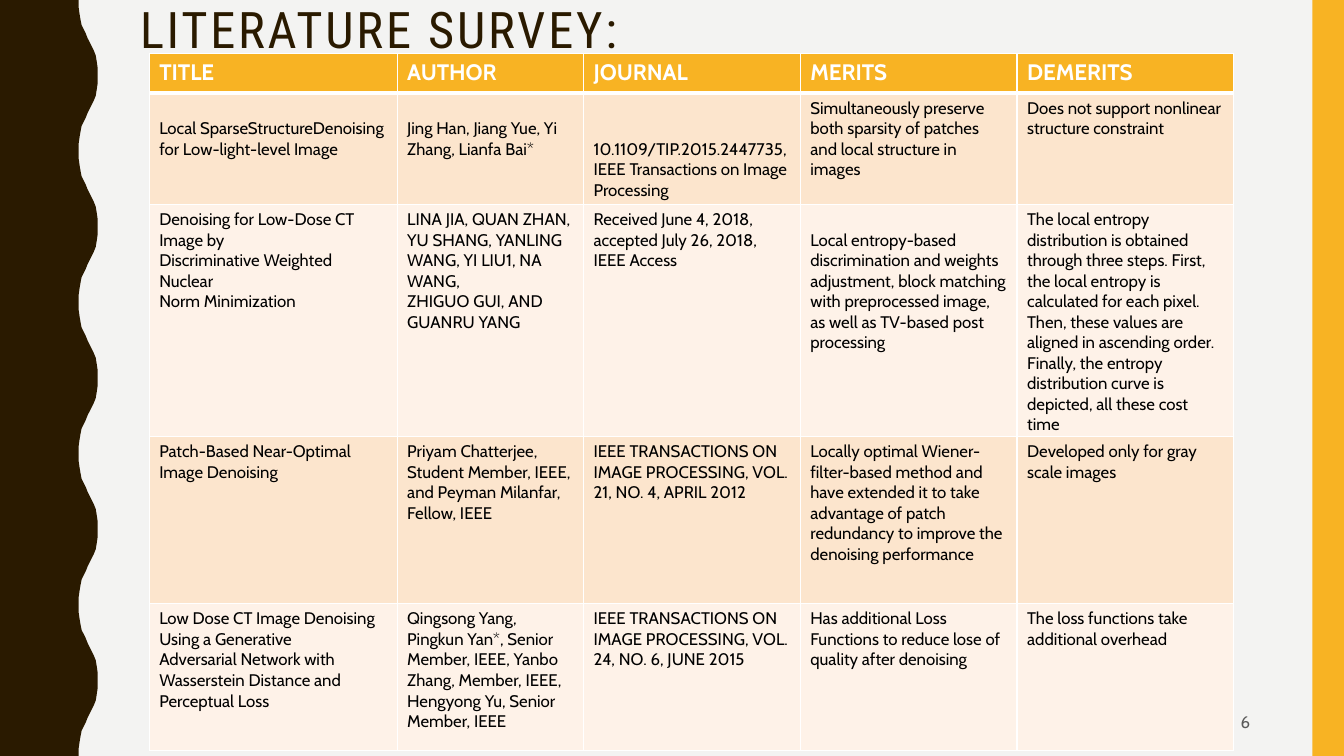
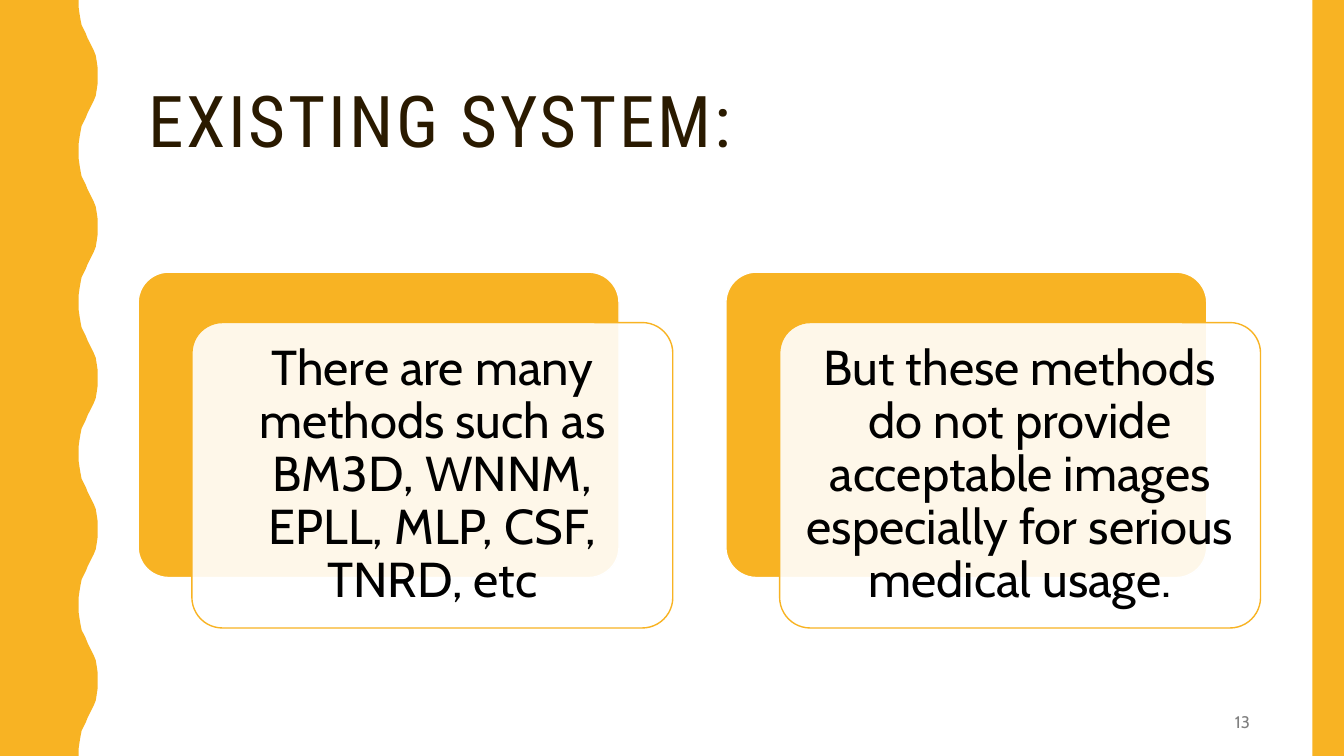
from lxml.etree import SubElement
from pptx import Presentation
from pptx.dml.color import RGBColor
from pptx.enum.shapes import MSO_SHAPE
from pptx.enum.text import MSO_ANCHOR, PP_ALIGN
from pptx.oxml.ns import qn
from pptx.util import Emu, Inches, Pt

COLORS = {name: RGBColor.from_string(code) for name, code in {
    "amber": "F8B323", "brown": "2A1A00", "paper": "F3F3F2",
    "white": "FFFFFF", "black": "000000", "band": "FCE5CD",
    "pale": "FEF2E8", "gray": "595959", "light_gray": "808080",
}.items()}
HEADING_FONT, BODY_FONT = "Roboto Condensed", "Cabin"

deck = Presentation()
deck.slide_width, deck.slide_height = Inches(13.333), Inches(7.5)
COLUMN, ROW = deck.slide_width / 100, deck.slide_height / 100


def place(left, top, width, height):
    """Turn percentages of the slide into a position and a size."""
    return (Emu(round(left * COLUMN)), Emu(round(top * ROW)),
            Emu(round(width * COLUMN)), Emu(round(height * ROW)))


def format_text(frame, font, size, color, align=PP_ALIGN.LEFT, line_spacing=1.0, bold=False):
    frame.word_wrap = True
    for paragraph in frame.paragraphs:
        paragraph.alignment = align
        paragraph.line_spacing = line_spacing
        for run in paragraph.runs:
            run.font.name, run.font.size, run.font.bold = font, Pt(size), bold
            run.font.color.rgb = COLORS[color]


# Wavy edge: half a wave, then its mirror image, five times down the slide
WAVE_UNIT = deck.slide_height / 750
HALF_WAVE = [(78, 0), (78, 7), (79, 14), (80, 20), (81, 25), (83, 29), (85, 33), (87, 38),
             (89, 42), (91, 46), (93, 50), (95, 55), (96, 61), (97, 68), (97, 75)]
WAVE = HALF_WAVE + [(x, 150 - y) for x, y in reversed(HALF_WAVE[:-1])]
edge = [(x, y + 150 * turn) for turn in range(5) for x, y in WAVE]

# Title, its left and top, anchor and size; background, wave, page number and its colour
pages = [
    ("LITERATURE SURVEY:", 9.68, 0, MSO_ANCHOR.TOP, 36, "paper", "brown", "6", "gray"),
    ("EXISTING SYSTEM:", 10.28, 5.6, MSO_ANCHOR.MIDDLE, 51, "white", "amber", "13", "light_gray"),
]
slides = []
for heading, left, top, anchor, size, backdrop, wave_color, number, number_color in pages:
    slide = deck.slides.add_slide(deck.slide_layouts[6])
    slides.append(slide)
    slide.background.fill.solid()
    slide.background.fill.fore_color.rgb = COLORS[backdrop]

    outline = slide.shapes.build_freeform(0, 0, scale=WAVE_UNIT)
    outline.add_line_segments(edge + [(0, 750)], close=True)
    wave = outline.convert_to_shape()
    bar = slide.shapes.add_shape(MSO_SHAPE.RECTANGLE, *place(97.66, 0, 2.34, 100))
    for band, color in ((wave, wave_color), (bar, "amber")):
        band.shadow.inherit = False
        band.fill.solid()
        band.fill.fore_color.rgb = COLORS[color]
        band.line.fill.background()

    title = slide.shapes.add_textbox(*place(left, top, 83.48, 21.73)).text_frame
    title.text = heading
    title.vertical_anchor = anchor
    format_text(title, HEADING_FONT, size, "brown", line_spacing=0.9)
    title.paragraphs[0].runs[0].font._element.set("spc", "200")

    page_number = slide.shapes.add_textbox(*place(70.65, 92.93, 23.1, 5.07)).text_frame
    page_number.text = number
    page_number.vertical_anchor = MSO_ANCHOR.MIDDLE
    format_text(page_number, BODY_FONT, 12, number_color, PP_ALIGN.RIGHT)

survey_slide, system_slide = slides

# Literature survey
papers = [
    ["TITLE", "AUTHOR", "JOURNAL", "MERITS", "DEMERITS"],
    ["Local SparseStructureDenoising for Low-light-level Image",
     "Jing Han, Jiang Yue, Yi Zhang, Lianfa Bai*",
     "10.1109/TIP.2015.2447735, IEEE Transactions on Image Processing",
     "Simultaneously preserve both sparsity of patches and local structure in images",
     "Does not support nonlinear structure constraint"],
    ["Denoising for Low-Dose CT Image by\nDiscriminative Weighted Nuclear\nNorm Minimization",
     "LINA JIA, QUAN ZHAN, YU SHANG, YANLING WANG, YI LIU1, NA WANG,\n"
     "ZHIGUO GUI, AND GUANRU YANG",
     "Received June 4, 2018, accepted July 26, 2018, IEEE Access",
     "Local entropy-based discrimination and weights adjustment, block matching with "
     "preprocessed image, as well as TV-based post processing",
     "The local entropy distribution is obtained through three steps. First, the local "
     "entropy is calculated for each pixel. Then, these values are aligned in ascending "
     "order. Finally, the entropy distribution curve is depicted, all these cost time"],
    ["Patch-Based Near-Optimal Image Denoising",
     "Priyam Chatterjee, Student Member, IEEE, and Peyman Milanfar, Fellow, IEEE",
     "IEEE TRANSACTIONS ON IMAGE PROCESSING, VOL. 21, NO. 4, APRIL 2012",
     "Locally optimal Wiener-filter-based method and have extended it to take advantage "
     "of patch redundancy to improve the denoising performance",
     "Developed only for gray scale images"],
    ["Low Dose CT Image Denoising Using a Generative\n"
     "Adversarial Network with Wasserstein Distance and\nPerceptual Loss",
     "Qingsong Yang, Pingkun Yan*, Senior Member, IEEE, Yanbo Zhang, Member, IEEE, "
     "Hengyong Yu, Senior\nMember, IEEE",
     "IEEE TRANSACTIONS ON IMAGE PROCESSING, VOL. 24, NO. 6, JUNE 2015",
     "Has additional Loss Functions to reduce lose of quality after denoising",
     "The loss functions take additional overhead"],
]
column_shares = [18.45, 13.87, 16.13, 16.13, 16.13]
row_shares = [5.2, 14.27, 30, 22.13, 19.47]
lowered_lines = {(1, 0): 1, (1, 1): 1, (1, 2): 2, (2, 3): 1}
LINE_SHARE = 2.72

survey = survey_slide.shapes.add_table(
    len(row_shares), len(column_shares),
    *place(11.1, 7.07, sum(column_shares), sum(row_shares))).table
survey.horz_banding = False
for column, share in zip(survey.columns, column_shares):
    column.width = Emu(round(share * COLUMN))
for row, share in zip(survey.rows, row_shares):
    row.height = Emu(round(share * ROW))

for r, paper in enumerate(papers):
    is_header = r == 0
    for c, entry in enumerate(paper):
        cell = survey.cell(r, c)
        cell.text_frame.text = entry
        format_text(cell.text_frame, BODY_FONT, 16 if is_header else 12,
                    "white" if is_header else "black", bold=is_header)
        cell.margin_top = Emu(round(Inches(0.05) + lowered_lines.get((r, c), 0) * LINE_SHARE * ROW))
        properties = cell._tc.get_or_add_tcPr()
        for side in ("lnL", "lnR", "lnT", "lnB"):
            thick = (r, side) in ((0, "lnB"), (1, "lnT"))
            border = SubElement(properties, qn(f"a:{side}"), w=str(Pt(3 if thick else 1)))
            border_fill = SubElement(border, qn("a:solidFill"))
            SubElement(border_fill, qn("a:srgbClr"), val=str(COLORS["white"]))
        cell.fill.solid()
        cell.fill.fore_color.rgb = COLORS["amber" if is_header else "band" if r % 2 else "pale"]

# Existing system: each statement on a see-through card over an amber one
statements = [
    "There are many methods such as BM3D, WNNM, EPLL, MLP, CSF, TNRD, etc",
    "But these methods do not provide acceptable images especially for serious medical usage.",
]
CARD_PITCH = 43.73
for index, statement in enumerate(statements):
    left, top = 10.28 + index * CARD_PITCH, 36
    for shift_x, shift_y, fill, line in ((0, 0, "amber", "white"), (4, 6.67, "white", "amber")):
        card = system_slide.shapes.add_shape(
            MSO_SHAPE.ROUNDED_RECTANGLE, *place(left + shift_x, top + shift_y, 35.78, 40.4))
        card.adjustments[0] = 0.1
        card.shadow.inherit = False
        card.fill.solid()
        card.fill.fore_color.rgb = COLORS[fill]
        card.line.color.rgb = COLORS[line]
        card.line.width = Pt(1)
    # The last card drawn is the front one
    front_fill = card._element.spPr.find(qn("a:solidFill"))
    SubElement(front_fill[0], qn("a:alpha"), val="90000")
    words = card.text_frame
    words.text = statement
    words.vertical_anchor = MSO_ANCHOR.MIDDLE
    words.margin_left = words.margin_right = words.margin_top = words.margin_bottom = Inches(0.15)
    format_text(words, BODY_FONT, 35, "black", PP_ALIGN.CENTER, 0.9)

deck.save("out.pptx")
